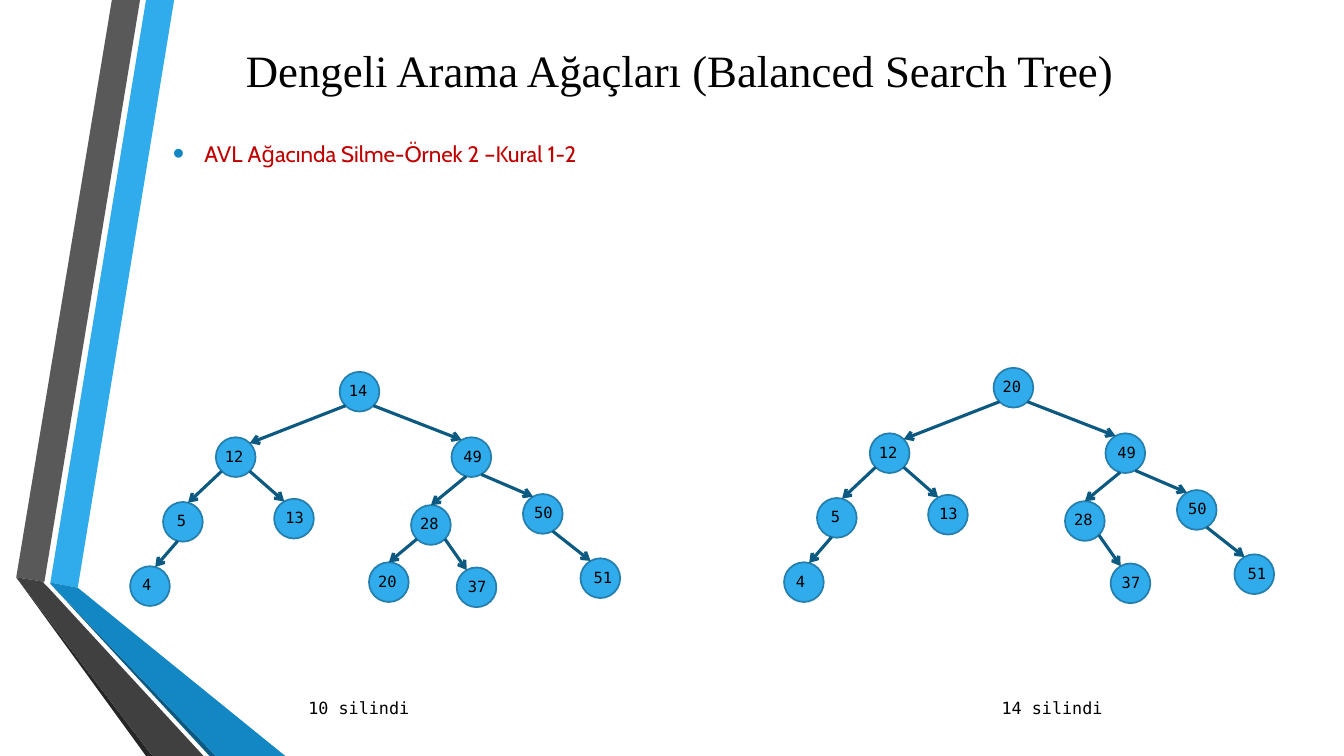
from dataclasses import dataclass
from math import cos, radians, sin

from lxml.etree import SubElement
from pptx import Presentation
from pptx.dml.color import RGBColor
from pptx.enum.shapes import MSO_CONNECTOR, MSO_SHAPE
from pptx.enum.text import MSO_ANCHOR, MSO_AUTO_SIZE, PP_ALIGN
from pptx.oxml.ns import qn
from pptx.util import Cm, Pt


@dataclass(frozen=True)
class Theme:
    blue: str = "30ACEC"
    mid_blue: str = "1287C3"
    deep_blue: str = "0C5A82"
    node_edge: str = "247FAF"
    gray: str = "595959"
    dark_gray: str = "404040"
    shade: str = "262626"
    red: str = "C00000"
    black: str = "000000"
    title_font: str = "Times New Roman"
    body_font: str = "Cabin"
    mono_font: str = "DejaVu Sans Mono"
    title_size: float = 32
    body_size: float = 16
    caption_size: float = 12
    label_size: float = 11


THEME = Theme()
DIAMETER = 1.0
TILT = 29.7

# Outlines of the folded ribbon at the left, in centimetres
RIBBON = [
    (THEME.blue, [(1.27, 14.68), (1.96, 14.81), (4.39, 0), (3.68, 0)]),
    (THEME.gray, [(3.53, 0), (2.82, 0), (0.41, 14.55), (1.12, 14.66)]),
    (THEME.shade, [(0.41, 14.55), (3.68, 19.05), (3.84, 19.05)]),
    (THEME.deep_blue, [(1.27, 14.71), (5.28, 19.05), (5.44, 19.05)]),
    (THEME.mid_blue, [(1.27, 14.71), (5.44, 19.05), (7.19, 19.05),
                      (1.96, 14.81), (1.27, 14.68)]),
    (THEME.dark_gray, [(5.13, 19.05), (1.22, 14.81), (1.09, 14.68),
                       (1.12, 14.66), (0.41, 14.55), (3.84, 19.05)]),
]


@dataclass(frozen=True)
class Slot:
    """Place of a node: left, top, tilt in degrees, shift of its label."""
    left: float
    top: float
    tilt: float
    shift: float

    def rim(self, angle):
        """Point on the circle, the angle running clockwise from the right."""
        turn = radians(angle - self.tilt)
        radius = DIAMETER / 2
        return (self.left + radius * (1 + cos(turn)),
                self.top + radius * (1 + sin(turn)))


# A key is the way down from the root: L for left, R for right
SLOTS = {
    "": Slot(8.56, 9.37, 0, -0.02),
    "L": Slot(5.44, 11.02, 0, -0.02),
    "R": Slot(11.38, 11.02, TILT, 0.05),
    "LL": Slot(4.11, 12.65, TILT, 0.1),
    "LR": Slot(6.91, 12.57, TILT, 0.03),
    "RL": Slot(10.36, 12.73, 0, -0.02),
    "RR": Slot(13.18, 12.45, TILT, 0.03),
    "LLL": Slot(3.28, 14.27, TILT, 0.05),
    "RLL": Slot(9.3, 14.17, 0, -0.02),
    "RLR": Slot(11.51, 14.3, TILT, 0.03),
    "RRR": Slot(14.63, 14.07, TILT, 0.08),
}
BEFORE = {"": 14, "L": 12, "R": 49, "LL": 5, "LR": 13, "RL": 28, "RR": 50,
          "LLL": 4, "RLL": 20, "RLR": 37, "RRR": 51}
AFTER = {key: value for key, value in BEFORE.items() if key != "RLL"}
AFTER[""] = BEFORE["RLL"]


class SlideBuilder:
    def __init__(self, page, theme):
        self.page = page
        self.theme = theme

    def style(self, paragraph, font, size, color):
        paragraph.font.name = font
        paragraph.font.size = Pt(size)
        paragraph.font.color.rgb = RGBColor.from_string(color)

    def title(self, text, *bounds):
        box = self.page.shapes.title
        box.left, box.top, box.width, box.height = map(Cm, bounds)
        frame = box.text_frame
        frame.text = text
        frame.word_wrap = True
        frame.auto_size = MSO_AUTO_SIZE.NONE
        frame.vertical_anchor = MSO_ANCHOR.MIDDLE
        paragraph = frame.paragraphs[0]
        paragraph.alignment = PP_ALIGN.CENTER
        self.style(paragraph, self.theme.title_font, self.theme.title_size, self.theme.black)

    def text(self, text, *bounds):
        """Add a wrapping text box and return its paragraph."""
        frame = self.page.shapes.add_textbox(*map(Cm, bounds)).text_frame
        frame.word_wrap = True
        frame.text = text
        return frame.paragraphs[0]

    def bullet(self, text, *bounds):
        paragraph = self.text(text, *bounds)
        paragraph.line_spacing = 1.5
        properties = paragraph._p.get_or_add_pPr()
        properties.set("marL", str(Cm(0.79)))
        properties.set("indent", str(-Cm(0.79)))
        color = SubElement(properties, qn("a:buClr"))
        SubElement(color, qn("a:srgbClr"), val=self.theme.mid_blue)
        SubElement(properties, qn("a:buSzPct"), val="145000")
        SubElement(properties, qn("a:buFont"), typeface="Arial")
        SubElement(properties, qn("a:buChar"), char="•")
        self.style(paragraph, self.theme.body_font, self.theme.body_size, self.theme.red)

    def mono(self, text, size, *bounds):
        paragraph = self.text(text, *bounds)
        self.style(paragraph, self.theme.mono_font, size, self.theme.black)

    def outline(self, color, points):
        start, *rest = [(Cm(x), Cm(y)) for x, y in points]
        builder = self.page.shapes.build_freeform(*start)
        builder.add_line_segments(rest, close=True)
        shape = builder.convert_to_shape()
        shape.shadow.inherit = False
        shape.fill.solid()
        shape.fill.fore_color.rgb = RGBColor.from_string(color)
        shape.line.fill.background()

    def node(self, slot, value, dx, dy):
        left, top = slot.left + dx, slot.top + dy
        circle = self.page.shapes.add_shape(
            MSO_SHAPE.OVAL, Cm(left), Cm(top), Cm(DIAMETER), Cm(DIAMETER))
        circle.rotation = -slot.tilt
        circle.shadow.inherit = False
        circle.fill.solid()
        circle.fill.fore_color.rgb = RGBColor.from_string(self.theme.blue)
        circle.line.color.rgb = RGBColor.from_string(self.theme.node_edge)
        circle.line.width = Pt(1.25)
        self.mono(str(value), self.theme.label_size, left + slot.shift, top + 0.11, 1.02, 0.73)

    def arrow(self, start, end, dx, dy):
        (x1, y1), (x2, y2) = start, end
        link = self.page.shapes.add_connector(
            MSO_CONNECTOR.STRAIGHT, Cm(x1 + dx), Cm(y1 + dy), Cm(x2 + dx), Cm(y2 + dy))
        link.line.color.rgb = RGBColor.from_string(self.theme.deep_blue)
        link.line.width = Pt(2.25)
        SubElement(link.line._get_or_add_ln(), qn("a:tailEnd"), type="arrow")
        SubElement(link._element.spPr, qn("a:effectLst"))

    def tree(self, values, dx=0, dy=0):
        for key, value in values.items():
            self.node(SLOTS[key], value, dx, dy)
        for key in filter(None, values):
            parent, child = SLOTS[key[:-1]], SLOTS[key]
            if key.endswith("L"):
                leave = 135
            else:
                leave = 90 if parent.tilt else 45
            arrive = 315 if set(key) == {"L"} else 270
            self.arrow(parent.rim(leave), child.rim(arrive), dx, dy)


def main():
    deck = Presentation()
    deck.slide_width, deck.slide_height = Cm(33.87), Cm(19.05)
    slide = SlideBuilder(deck.slides.add_slide(deck.slide_layouts[5]), THEME)
    for color, points in RIBBON:
        slide.outline(color, points)
    slide.title("Dengeli Arama Ağaçları (Balanced Search Tree)", 3.94, 0.43, 26.39, 2.64)
    slide.bullet("AVL Ağacında Silme-Örnek 2 –Kural 1-2", 4.11, 3.07, 27.79, 1.6)
    for caption, left in (("10 silindi", 7.52), ("14 silindi", 24.99)):
        slide.mono(caption, THEME.caption_size, left, 17.45, 3.96, 0.76)
    slide.tree(BEFORE)
    slide.tree(AFTER, dx=16.48, dy=-0.1)
    deck.save("out.pptx")


if __name__ == "__main__":
    main()
